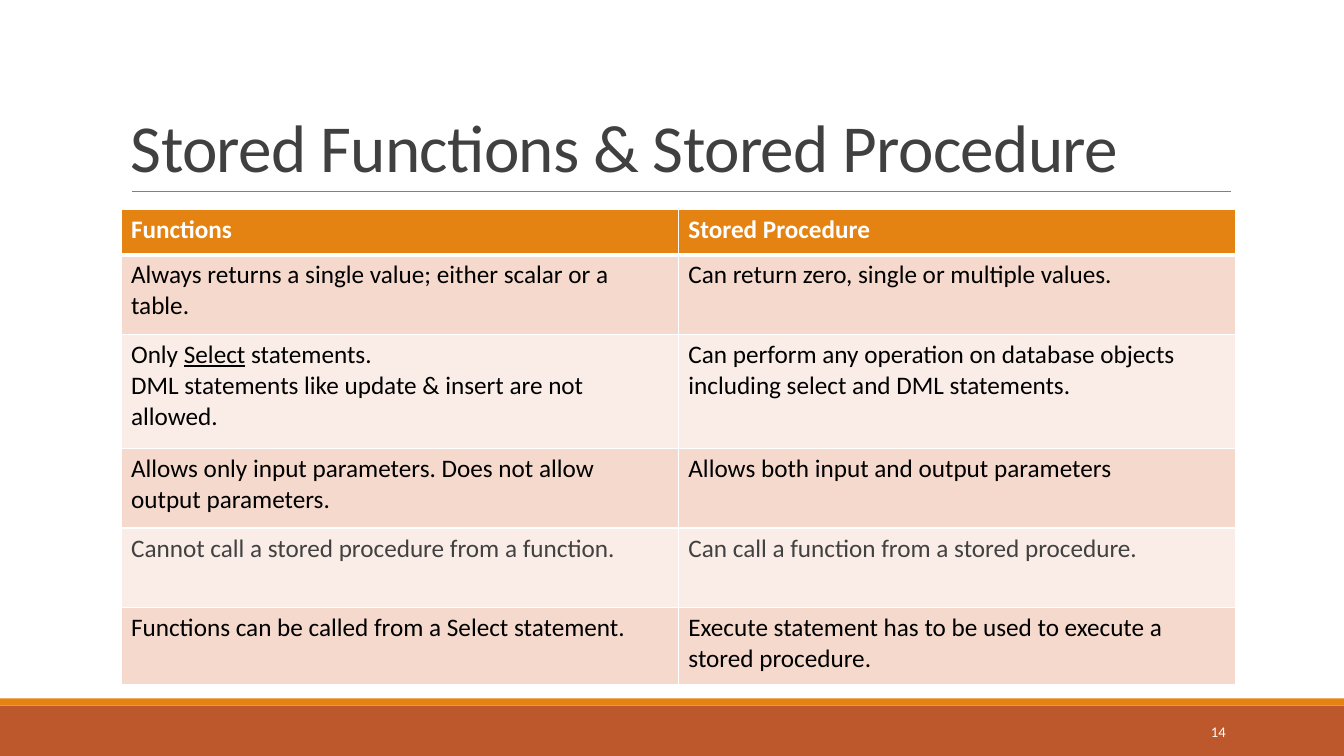
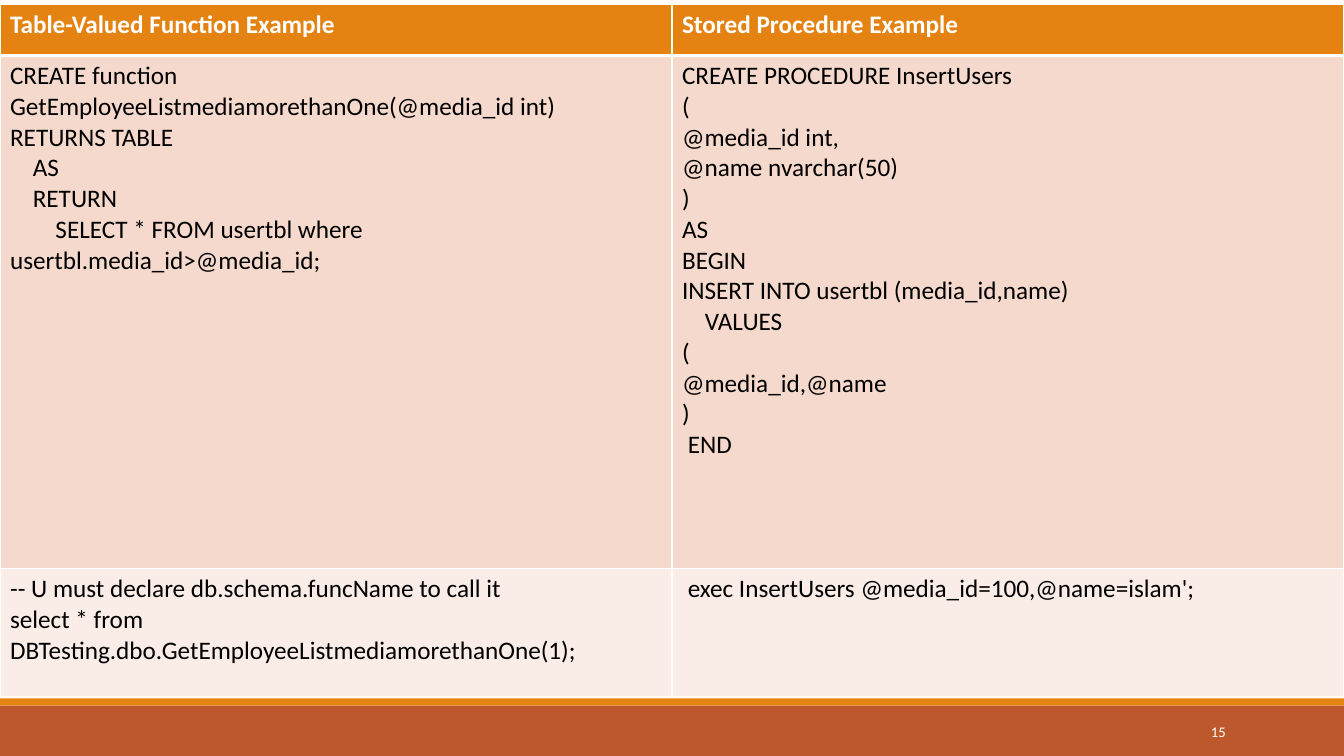
from pptx import Presentation
from pptx.dml.color import RGBColor
from pptx.enum.shapes import MSO_CONNECTOR, MSO_SHAPE
from pptx.enum.text import MSO_ANCHOR, PP_ALIGN
from pptx.oxml.ns import qn
from pptx.util import Cm, Pt
from lxml import etree

RECT, LINE = MSO_SHAPE.RECTANGLE, MSO_CONNECTOR.STRAIGHT
LEFT, RIGHT = PP_ALIGN.LEFT, PP_ALIGN.RIGHT
MIDDLE, BOTTOM = MSO_ANCHOR.MIDDLE, MSO_ANCHOR.BOTTOM

FONT = "Calibri"
WHITE, BLACK, DARK, GREY, RULE = "FFFFFF", "000000", "404040", "414141", "808080"
ORANGE, RUST, ROSE, PALE = "E48312", "BD582C", "F5D9CC", "FAEDE7"
WIDE, HIGH = 33.87, 19.05
SPACE = 0.143  # width in cm of one space of 18 pt code

# A row is height in cm, text colour, cells. Bars enclose underlined words;
# leading spaces become a first-line indent.
SLIDES = [
    {
        "page": "14",
        "title": "Stored Functions & Stored Procedure",
        "box": (3.05, 5.28, 28.09),
        "rows": [
            (1.14, WHITE, ("Functions", "Stored Procedure")),
            (2.01, BLACK, (
                "Always returns a single value; either scalar or a table.",
                "Can return zero, single or multiple values.")),
            (2.87, BLACK, (
                "Only |Select| statements.\n"
                "DML statements like update & insert are not allowed.",
                "Can perform any operation on database objects "
                "including select and DML statements.")),
            (2.01, BLACK, (
                "Allows only input parameters. "
                "Does not allow output parameters.",
                "Allows both input and output parameters")),
            (2.01, GREY, (
                "Cannot call a stored procedure from a function.",
                "Can call a function from a stored procedure.")),
            (1.93, BLACK, (
                "Functions can be called from a Select statement.",
                "Execute statement has to be used to execute "
                "a stored procedure.")),
        ],
    },
    {
        "page": "15",
        "title": None,
        "box": (0, 0.1, WIDE),
        "rows": [
            (1.3, WHITE, (
                "Table-Valued Function Example", "Stored Procedure Example")),
            (12.93, BLACK, (
                """CREATE function GetEmployeeListmediamorethanOne(@media_id int)
RETURNS TABLE
    AS
    RETURN
        SELECT * FROM usertbl where usertbl.media_id>@media_id;""",
                """CREATE PROCEDURE InsertUsers
(
@media_id int,
@name nvarchar(50)
)
AS
BEGIN
INSERT INTO usertbl (media_id,name)
    VALUES
(
@media_id,@name
)
 END""")),
            (3.23, BLACK, (
                """-- U must declare db.schema.funcName to call it
select * from DBTesting.dbo.GetEmployeeListmediamorethanOne(1);""",
                " exec InsertUsers @media_id=100,@name=islam';")),
        ],
    },
]


def rgb(code):
    return RGBColor.from_string(code)


def add_run(para, text, size, color, bold=False, under=False):
    run = para.add_run()
    run.text = text
    font = run.font
    font.name, font.size, font.bold = FONT, Pt(size), bold
    font.underline = under
    font.color.rgb = rgb(color)
    return run


def add_text(slide, box, text, size, color, anchor, align=LEFT):
    frame = slide.shapes.add_textbox(*map(Cm, box)).text_frame
    frame.word_wrap = True
    frame.vertical_anchor = anchor
    para = frame.paragraphs[0]
    para.alignment = align
    return para, add_run(para, text, size, color)


def add_band(slide, top, height, color):
    band = slide.shapes.add_shape(RECT, 0, Cm(top), Cm(WIDE), Cm(height))
    band.shadow.inherit = False
    band.fill.solid()
    band.fill.fore_color.rgb = rgb(color)
    band.line.fill.background()


def add_frame(slide, page):
    """Draw the bands and page number that all slides share."""
    add_band(slide, 17.78, HIGH - 17.78, RUST)
    add_band(slide, 17.6, 0.18, ORANGE)
    add_text(slide, (27.51, 17.93, 3.63, 1.02), page, 10.5, WHITE,
             MIDDLE, RIGHT)


def add_title(slide, text):
    """Draw the title and the thin rule under it."""
    rule = slide.shapes.add_connector(LINE, Cm(3.33), Cm(4.83),
                                      Cm(31.01), Cm(4.83))
    rule.line.color.rgb = rgb(RULE)
    rule.line.width = Pt(0.5)
    etree.SubElement(rule._element.spPr, qn("a:effectLst"))
    para, run = add_text(slide, (3.05, 0.79, 27.94, 4.04), text, 48, DARK,
                         BOTTOM)
    para.line_spacing = 0.85
    run.font._element.set("spc", "-50")


def set_edges(cell, top, bottom):
    """Give a cell white borders; top and bottom widths are in points."""
    props = cell._tc.get_or_add_tcPr()
    for side, width in (("L", 1), ("R", 1), ("T", top), ("B", bottom)):
        edge = etree.SubElement(props, qn("a:ln" + side), w=str(Pt(width)))
        fill = etree.SubElement(edge, qn("a:solidFill"))
        etree.SubElement(fill, qn("a:srgbClr"), val=WHITE)


def fill_cell(cell, text, color, bold):
    frame = cell.text_frame
    for num, line in enumerate(text.split("\n")):
        para = frame.add_paragraph() if num else frame.paragraphs[0]
        body = line.lstrip()
        lead = len(line) - len(body)
        if lead:
            props = para._p.get_or_add_pPr()
            props.set("marL", "0")
            props.set("indent", str(Cm(lead * SPACE)))
        for part, words in enumerate(body.split("|")):
            add_run(para, words, 18, color, bold, part % 2 == 1)


def add_grid(slide, box, rows):
    left, top, width = box
    count = len(rows[0][2])
    total = sum(row[0] for row in rows)
    table = slide.shapes.add_table(len(rows), count, Cm(left), Cm(top),
                                   Cm(width), Cm(total)).table
    table.first_row = table.horz_banding = False
    for col in table.columns:
        col.width = Cm(width / count)
    for num, (height, color, texts) in enumerate(rows):
        table.rows[num].height = Cm(height)
        head = num == 0
        shade = ORANGE if head else (PALE, ROSE)[num % 2]
        for col, text in enumerate(texts):
            cell = table.cell(num, col)
            set_edges(cell, 3 if num == 1 else 1, 3 if head else 1)
            cell.fill.solid()
            cell.fill.fore_color.rgb = rgb(shade)
            fill_cell(cell, text, color, head)


def main():
    prs = Presentation()
    prs.slide_width, prs.slide_height = Cm(WIDE), Cm(HIGH)
    for data in SLIDES:
        slide = prs.slides.add_slide(prs.slide_layouts[6])
        add_frame(slide, data["page"])
        if data["title"]:
            add_title(slide, data["title"])
        add_grid(slide, data["box"], data["rows"])
    prs.save("out.pptx")


if __name__ == "__main__":
    main()
